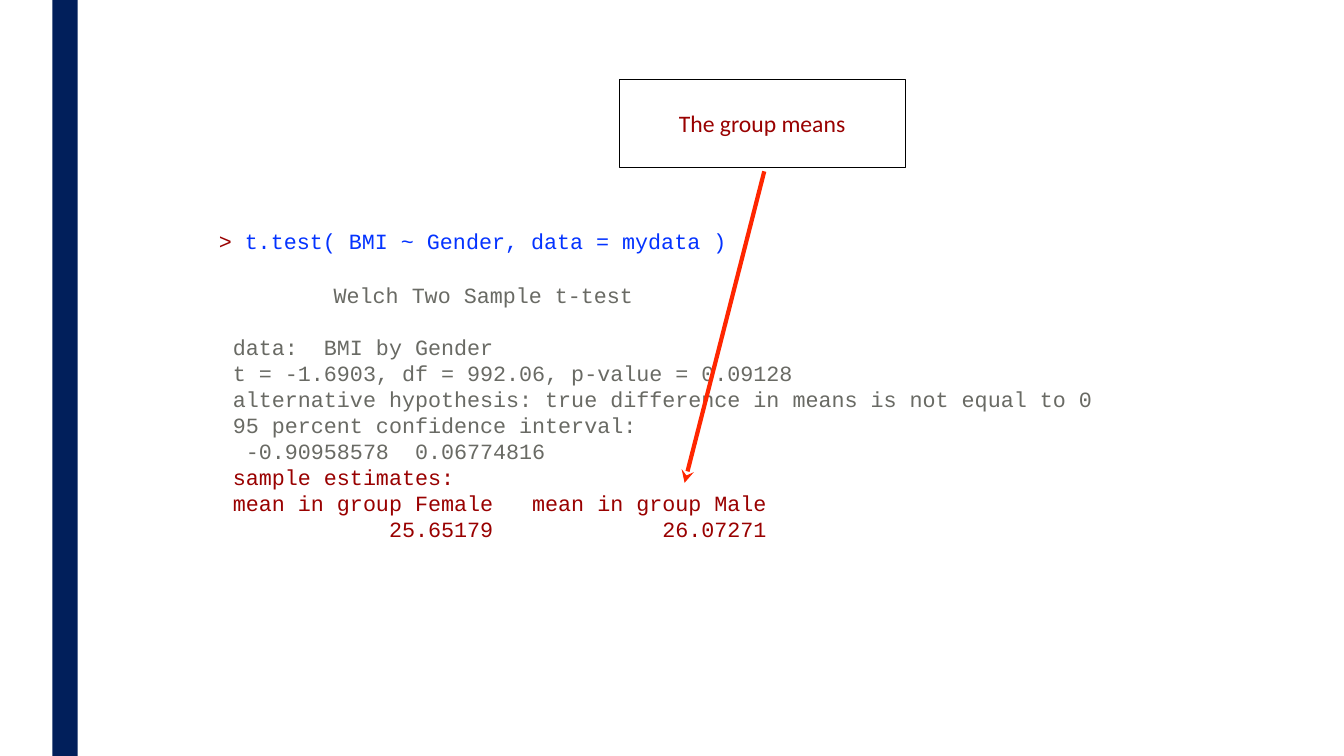
from dataclasses import dataclass

from lxml import etree
from pptx import Presentation
from pptx.dml.color import RGBColor
from pptx.enum.shapes import MSO_CONNECTOR, MSO_SHAPE
from pptx.enum.text import MSO_ANCHOR, PP_ALIGN
from pptx.oxml.ns import qn
from pptx.util import Inches, Pt

RECTANGLE = MSO_SHAPE.RECTANGLE
STRAIGHT = MSO_CONNECTOR.STRAIGHT
MIDDLE, TOP = MSO_ANCHOR.MIDDLE, MSO_ANCHOR.TOP
CENTER, LEFT = PP_ALIGN.CENTER, PP_ALIGN.LEFT


@dataclass(frozen=True)
class Theme:
    navy: str = "011F5B"
    red: str = "990100"
    arrow: str = "FF2600"
    blue: str = "0433FF"
    gray: str = "696A64"
    black: str = "000000"
    label_font: str = "Calibri"
    code_font: str = "Courier New"
    label_size: float = 16.9
    code_size: float = 15.5
    code_line: float = 18.5


theme = Theme()


def write_text(shape, lines, *, font, size, line_spacing=None, align=LEFT, anchor=TOP):
    """Fill a shape with lines, each a list of (text, color) runs."""
    frame = shape.text_frame
    frame.word_wrap = True
    frame.vertical_anchor = anchor
    frame.margin_left = frame.margin_right = frame.margin_top = frame.margin_bottom = 0
    for index, runs in enumerate(lines):
        paragraph = frame.add_paragraph() if index else frame.paragraphs[0]
        paragraph.alignment = align
        if line_spacing:
            paragraph.line_spacing = Pt(line_spacing)
        for text, color in runs:
            run = paragraph.add_run()
            run.text = text
            run.font.name = font
            run.font.size = Pt(size)
            run.font.color.rgb = RGBColor.from_string(color)
    return frame.paragraphs


presentation = Presentation()
presentation.slide_width = Inches(13.33)
presentation.slide_height = Inches(7.5)
slide = presentation.slides.add_slide(presentation.slide_layouts[6])
shapes = slide.shapes

# Side bar
side_bar = shapes.add_shape(RECTANGLE, Inches(0.52), 0, Inches(0.25), Inches(7.5))
side_bar.shadow.inherit = False
side_bar.fill.solid()
side_bar.fill.fore_color.rgb = RGBColor.from_string(theme.navy)
side_bar.line.fill.background()

# Callout label
label = shapes.add_shape(RECTANGLE, Inches(6.14), Inches(0.79), Inches(2.84), Inches(0.87))
label.shadow.inherit = False
label.fill.background()
label.line.color.rgb = RGBColor.from_string(theme.black)
label.line.width = Pt(0.75)
write_text(label, [[("The group means", theme.red)]], font=theme.label_font,
           size=theme.label_size, align=CENTER, anchor=MIDDLE)

# R command
command = shapes.add_textbox(Inches(2.17), Inches(2.26), Inches(6.17), Inches(0.26))
write_text(command, [[("> ", theme.red), ("t.test( BMI ~ Gender, data = mydata )", theme.blue)]],
           font=theme.code_font, size=theme.code_size)

# R output
test_lines = [
    "Welch Two Sample t-test",
    "data:  BMI by Gender",
    "t = -1.6903, df = 992.06, p-value = 0.09128",
    "alternative hypothesis: true difference in means is not equal to 0",
    "95 percent confidence interval:",
    " -0.90958578  0.06774816",
]
estimate_lines = [
    "sample estimates:",
    "mean in group Female   mean in group Male",
    "            25.65179             26.07271",
]
output_lines = [[(text, theme.gray)] for text in test_lines]
output_lines += [[(text, theme.red)] for text in estimate_lines]
output = shapes.add_textbox(Inches(2.31), Inches(2.8), Inches(8.6), Inches(2.57))
heading, data_line, *_ = write_text(output, output_lines, font=theme.code_font,
                                    size=theme.code_size, line_spacing=theme.code_line)
heading._p.get_or_add_pPr().set("marL", str(Inches(1)))
data_line.space_before = Pt(theme.code_line)

# Arrow from the label to the group means
arrow = shapes.add_connector(STRAIGHT, Inches(7.58), Inches(1.7), Inches(6.79), Inches(4.79))
arrow.line.color.rgb = RGBColor.from_string(theme.arrow)
arrow.line.width = Pt(3)
etree.SubElement(arrow.line._get_or_add_ln(), qn("a:tailEnd"), type="stealth")
etree.SubElement(arrow._element.spPr, qn("a:effectLst"))

presentation.save("out.pptx")
